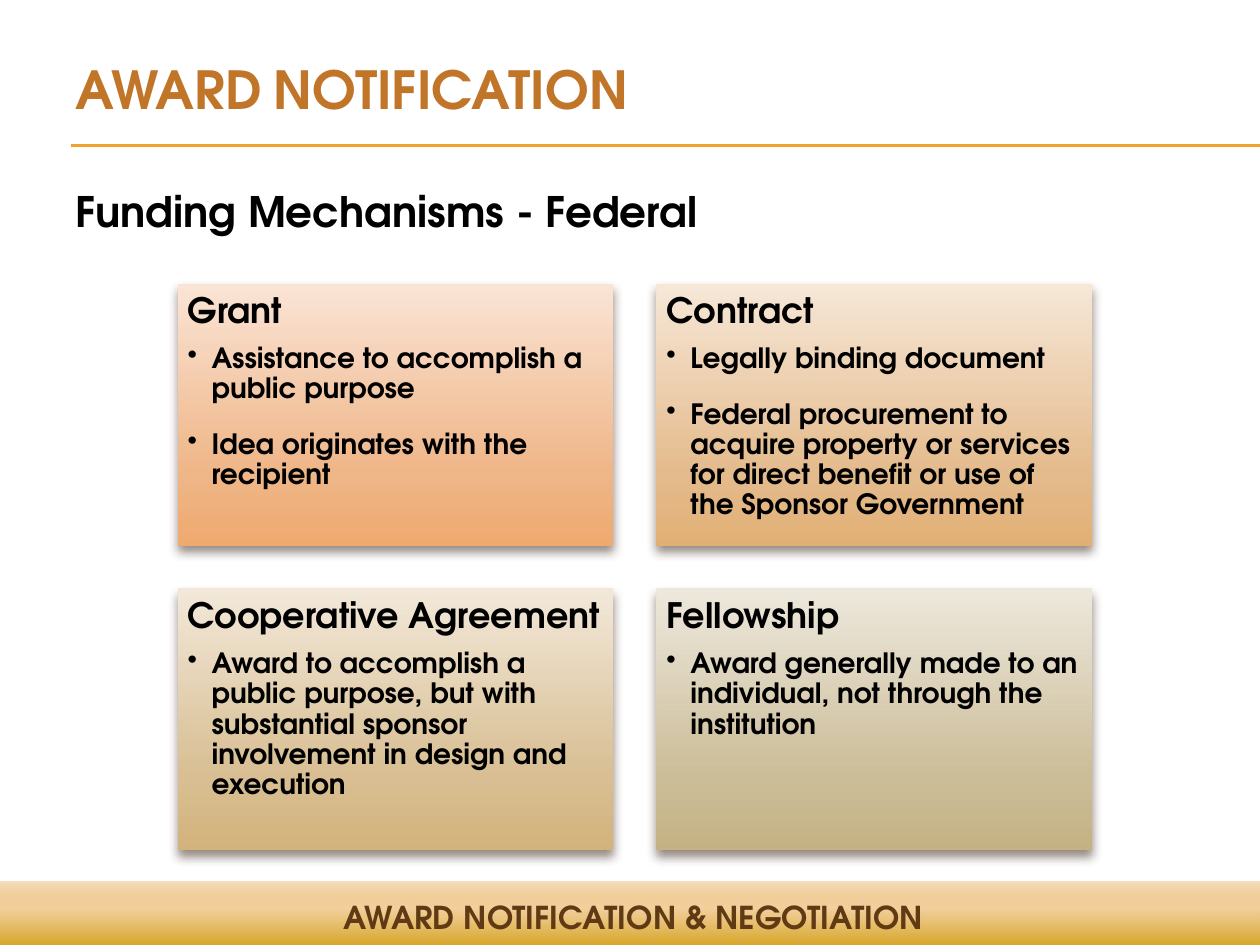
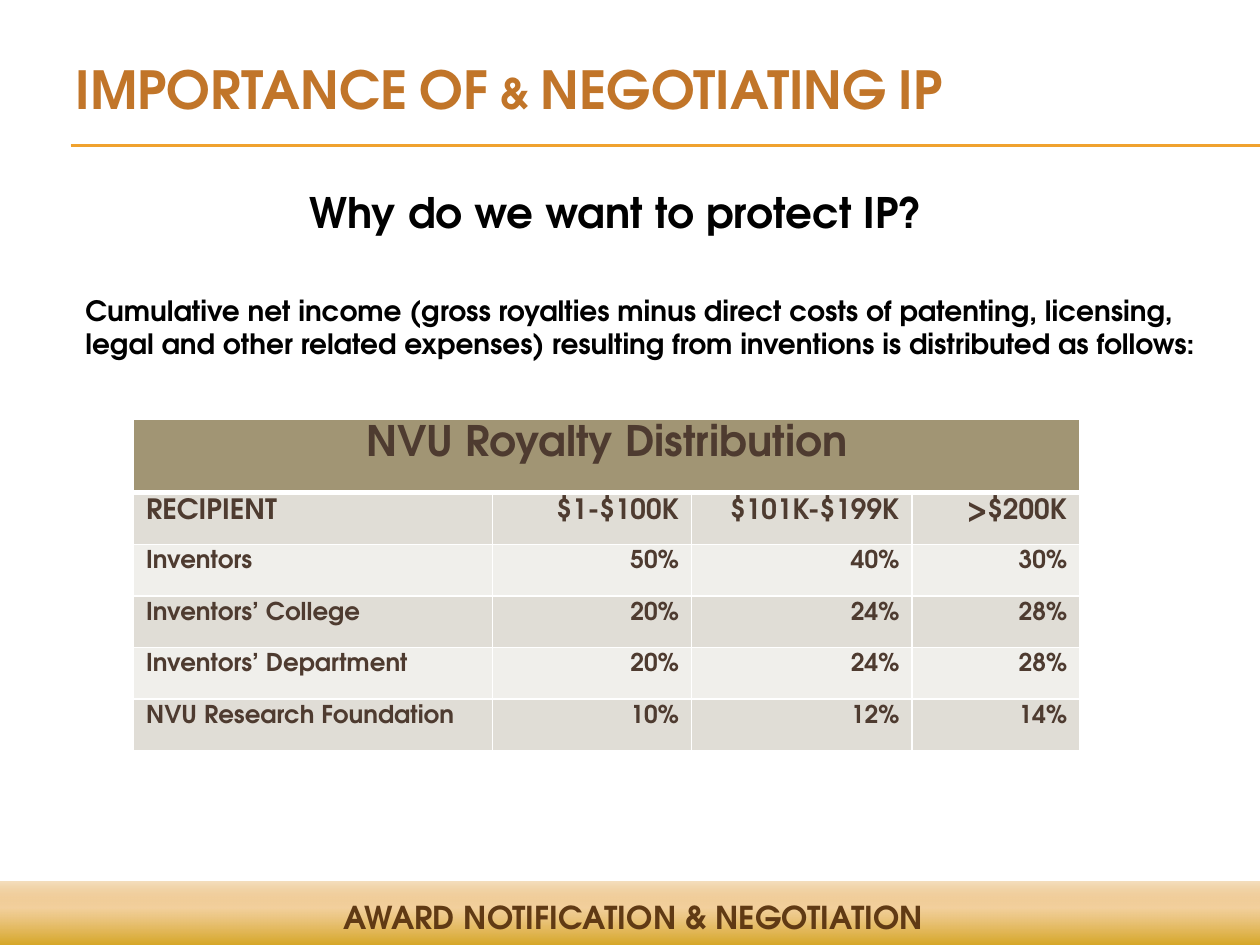
from lxml.etree import SubElement
from pptx import Presentation
from pptx.dml.color import RGBColor
from pptx.enum.shapes import MSO_CONNECTOR, MSO_SHAPE
from pptx.enum.text import MSO_ANCHOR, PP_ALIGN as ALIGN
from pptx.oxml import parse_xml
from pptx.oxml.ns import nsdecls, qn
from pptx.util import Inches, Pt

FONT = "TeX Gyre Adventor"
BLACK, ORANGE, GOLD, BROWN, DARK = "000000", "C17529", "F0A22E", "603A14", "4E3B30"
FOOTER = "AWARD NOTIFICATION & NEGOTIATION"
colour = RGBColor.from_string


def write(paragraph, text, size, hex_colour, align=ALIGN.LEFT):
    """Put bold text in the paragraph and return its run."""
    paragraph.text = text
    paragraph.alignment = align
    run = paragraph.runs[0]
    run.font.name, run.font.size, run.font.bold = FONT, Pt(size), True
    run.font.color.rgb = colour(hex_colour)
    return run


def add_gradient_box(slide, left, top, width, height, stops, angle):
    """Add a rectangle filled with (position %, colour, opacity %) stops."""
    box = slide.shapes.add_shape(MSO_SHAPE.RECTANGLE, Inches(left), Inches(top),
                                 Inches(width), Inches(height))
    box.shadow.inherit = False
    box.line.fill.background()
    stop_xml = "".join(
        f'<a:gs pos="{position * 1000}"><a:srgbClr val="{hex_colour}">'
        f'<a:alpha val="{opacity * 1000}"/></a:srgbClr></a:gs>'
        for position, hex_colour, opacity in stops)
    box._element.spPr.find(qn("a:prstGeom")).addnext(parse_xml(
        f'<a:gradFill {nsdecls("a")} rotWithShape="1"><a:gsLst>{stop_xml}</a:gsLst>'
        f'<a:lin ang="{angle * 60000}" scaled="0"/></a:gradFill>'))
    return box


presentation = Presentation()
presentation.slide_width, presentation.slide_height = Inches(10), Inches(7.5)

# Frame and text boxes of each slide: left, top, width, height, text, size, colour, alignment
slide_texts = [
    ("AWARD NOTIFICATION", [
        (0.5, 1.42, 9.25, 0.5, "Funding Mechanisms - Federal", 24, BLACK, ALIGN.LEFT)]),
    ("IMPORTANCE OF & NEGOTIATING IP", [
        (2.36, 1.43, 5.33, 0.5, "Why do we want to protect IP?", 24, BLACK, ALIGN.JUSTIFY),
        (0.58, 2.28, 9.17, 0.64,
         "Cumulative net income (gross royalties minus direct costs of patenting, "
         "licensing, legal and other related expenses) resulting from inventions is "
         "distributed as follows:", 16, BLACK, ALIGN.LEFT)]),
]
for title, texts in slide_texts:
    slide = presentation.slides.add_slide(presentation.slide_layouts[6])
    for rule_top in (1.15, 1.16):
        rule = slide.shapes.add_connector(MSO_CONNECTOR.STRAIGHT, Inches(0.56),
                                          Inches(rule_top), Inches(10), Inches(rule_top))
        rule.line.color.rgb = colour(GOLD)
        rule.line.width = Pt(0.75)
        SubElement(rule._element.spPr, qn("a:effectLst"))
    add_gradient_box(slide, -0.01, 7, 10.03, 0.58,
                     [(0, "CC9900", 100), (65, "EFC17E", 75), (100, "D68000", 25)], 270)
    footer_text = (0.15, 7.08, 9.75, 0.4, FOOTER, 18, BROWN, ALIGN.CENTER)
    title_text = (0.5, 0.3, 8.83, 0.7, title, 30, ORANGE, ALIGN.LEFT)
    for left, top, width, height, *content in [footer_text, title_text, *texts]:
        box = slide.shapes.add_textbox(Inches(left), Inches(top), Inches(width), Inches(height))
        box.text_frame.word_wrap = True
        run = write(box.text_frame.paragraphs[0], *content)
        if content[0] == title:
            box.text_frame.vertical_anchor = MSO_ANCHOR.BOTTOM
            run.font._element.set("cap", "small")

mechanisms_slide, royalty_slide = presentation.slides

# Funding mechanisms: a grid of two by two cards
cards = [
    ("Grant", ["Assistance to accomplish a public purpose",
               "Idea originates with the recipient"],
     ("FAE4D5", "EFB688", "EFAA6F")),
    ("Contract", ["Legally binding document",
                  "Federal procurement to acquire property or services for direct "
                  "benefit or use of the Sponsor Government"],
     ("F6E7D7", "E4BB8D", "E2B075")),
    ("Cooperative Agreement",
     ["Award to accomplish a public purpose, but with substantial sponsor "
      "involvement in design and execution"],
     ("F2E8D9", "D8BE92", "D3B37C")),
    ("Fellowship", ["Award generally made to an individual, not through the institution"],
     ("EDE8DC", "CCBD99", "C4B284")),
]
for index, (heading, points, tints) in enumerate(cards):
    row, column = divmod(index, 2)
    stops = [(position, tint, 100) for position, tint in zip((0, 72, 100), tints)]
    card = add_gradient_box(mechanisms_slide, 1.41 + 3.8 * column, 2.25 + 2.42 * row,
                            3.46, 2.08, stops, 90)
    card._element.spPr.find(qn("a:effectLst")).append(parse_xml(
        f'<a:outerShdw {nsdecls("a")} blurRad="{Pt(6)}" dist="{Pt(4)}" dir="5400000" '
        f'rotWithShape="0"><a:srgbClr val="{DARK}"><a:alpha val="60000"/></a:srgbClr>'
        '</a:outerShdw>'))
    frame = card.text_frame
    frame.word_wrap = True
    frame.vertical_anchor = MSO_ANCHOR.TOP
    frame.margin_left = frame.margin_right = Inches(0.08)
    frame.margin_top = frame.margin_bottom = Inches(0.08)
    write(frame.paragraphs[0], heading, 20, BLACK)
    frame.paragraphs[0].line_spacing = 0.9
    for number, point in enumerate(points):
        paragraph = frame.add_paragraph()
        write(paragraph, point, 16, BLACK)
        paragraph.line_spacing = 0.9
        paragraph.space_before = Pt(14.5 if number else 7.5)
        properties = paragraph._p.get_or_add_pPr()
        properties.set("marL", str(Inches(0.19)))
        properties.set("indent", str(-Inches(0.19)))
        SubElement(properties, qn("a:buChar"), char="•")

# Royalty shares by income bracket
royalty_rows = [
    ("NVU Royalty Distribution", "", "", ""),
    ("RECIPIENT", "$1-$100K", "$101K-$199K", ">$200K"),
    ("Inventors", "50%", "40%", "30%"),
    ("Inventors’ College", "20%", "24%", "28%"),
    ("Inventors’ Department", "20%", "24%", "28%"),
    ("NVU Research Foundation", "10%", "12%", "14%"),
]
table = royalty_slide.shapes.add_table(len(royalty_rows), 4, Inches(1.06), Inches(3.33),
                                       Inches(7.51), Inches(2.63)).table
for column, width in zip(table.columns, (2.85, 1.58, 1.75, 1.33)):
    column.width = Inches(width)
for row_index, values in enumerate(royalty_rows):
    is_banner = row_index == 0
    table.rows[row_index].height = Inches(0.58 if is_banner else 0.41)
    size = {0: 24, 1: 16}.get(row_index, 14)
    fill = "A19574" if is_banner else ("F0EFEB", "E0DDD6")[row_index % 2]
    for column_index, value in enumerate(values):
        cell = table.cell(row_index, column_index)
        cell.margin_top = cell.margin_bottom = Inches(0.05)
        cell.vertical_anchor = MSO_ANCHOR.TOP
        cell.fill.solid()
        cell.fill.fore_color.rgb = colour(fill)
        if value:
            align = ALIGN.CENTER if is_banner else ALIGN.RIGHT if column_index else ALIGN.LEFT
            write(cell.text_frame.paragraphs[0], value, size, DARK, align)
        else:
            cell.text_frame.paragraphs[0].font.size = Pt(size)
        widths = {"lnL": 1, "lnR": 1, "lnT": 3 if row_index == 1 else 1,
                  "lnB": 3 if is_banner else 1}
        for position, (side, width) in enumerate(widths.items()):
            cell._tc.get_or_add_tcPr().insert(position, parse_xml(
                f'<a:{side} {nsdecls("a")} w="{Pt(width)}"><a:solidFill>'
                f'<a:srgbClr val="FFFFFF"/></a:solidFill></a:{side}>'))
table.cell(0, 0).merge(table.cell(0, 3))

presentation.save("out.pptx")
